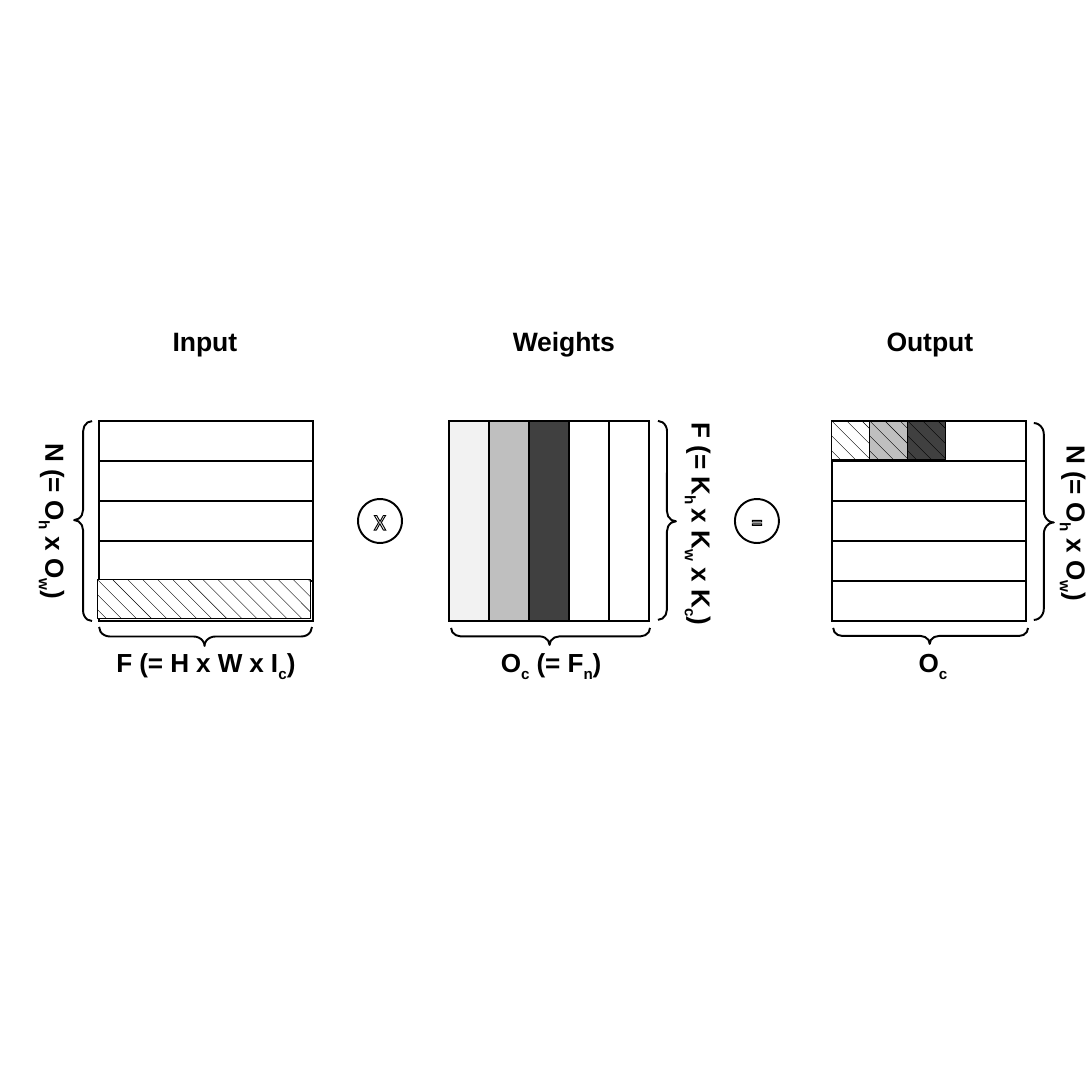
from lxml import etree
from pptx import Presentation, util as u
from pptx.dml.color import RGBColor
from pptx.enum import dml, shapes, text
from pptx.oxml.ns import qn

BLACK = RGBColor(0, 0, 0)
WHITE = RGBColor(0xFF, 0xFF, 0xFF)
PALE = RGBColor(0xF2, 0xF2, 0xF2)
GREY = RGBColor(0xBF, 0xBF, 0xBF)
DARK = RGBColor(0x40, 0x40, 0x40)
EMU_PER_PIXEL = 914400 / 273
TOP, SIDE, CELL = 421, 200, 40  # shared by all three matrices
RIGHT, DOWN, LEFT = 0, 90, 180  # where a brace points


def px(*values):
    return [u.Emu(round(value * EMU_PER_PIXEL)) for value in values]


def add_line(parent, tag, points, position):
    """Insert a solid black line element, as used by cell borders and outlined text."""
    line = etree.Element(qn(tag), w=str(u.Pt(points)))
    fill = etree.SubElement(line, qn("a:solidFill"))
    etree.SubElement(fill, qn("a:srgbClr"), val=str(BLACK))
    parent.insert(position, line)


class Diagram:
    font_name = "Arial"
    label_size = 6.9
    heading_size = 7
    line_width = 0.5

    def __init__(self, slide):
        self.slide = slide

    def style(self, paragraph, size, name=font_name, color=BLACK, bold=False):
        paragraph.alignment = text.PP_ALIGN.CENTER
        font = paragraph.font
        font.name, font.size, font.bold = name, u.Pt(size), bold
        font.color.rgb = color

    def clear_margins(self, frame):
        frame.margin_left = frame.margin_right = 0
        frame.margin_top = frame.margin_bottom = 0

    def matrix(self, left, width, rows=1, columns=1, fills=()):
        table = self.slide.shapes.add_table(
            rows, columns, *px(left, TOP, width, SIDE)).table
        table.first_row = table.horz_banding = False
        for row in table.rows:
            row.height = px(SIDE / rows)[0]
        for column in table.columns:
            column.width = px(width / columns)[0]
        for index, cell in enumerate(table.iter_cells()):
            self.clear_margins(cell)
            self.style(cell.text_frame.paragraphs[0], 6)
            if index < len(fills):
                cell.fill.solid()
                cell.fill.fore_color.rgb = fills[index]
            else:
                cell.fill.background()
            properties = cell._tc.get_or_add_tcPr()
            for position, tag in enumerate(("a:lnL", "a:lnR", "a:lnT", "a:lnB")):
                add_line(properties, tag, self.line_width, position)

    def shape(self, kind, left, top, width, height, line_width=line_width):
        shape = self.slide.shapes.add_shape(kind, *px(left, top, width, height))
        shape.shadow.inherit = False
        shape.fill.background()
        shape.line.color.rgb = BLACK
        shape.line.width = u.Pt(line_width)
        return shape

    def hatched(self, left, top, width, height, background):
        shape = self.shape(shapes.MSO_SHAPE.RECTANGLE, left, top, width, height, 0.25)
        shape.fill.patterned()
        shape.fill.pattern = dml.MSO_PATTERN.WIDE_DOWNWARD_DIAGONAL
        shape.fill.fore_color.rgb = BLACK
        shape.fill.back_color.rgb = background

    def operator(self, symbol, left):
        shape = self.shape(shapes.MSO_SHAPE.OVAL, left, 499, 44, 44)
        frame = shape.text_frame
        self.clear_margins(frame)
        frame.word_wrap = False
        frame.vertical_anchor = text.MSO_ANCHOR.MIDDLE
        paragraph = frame.paragraphs[0]
        self.style(paragraph, 6, "Calibri", WHITE)
        run = paragraph.add_run()
        run.text = symbol
        add_line(run._r.get_or_add_rPr(), "a:ln", 0.75, 0)

    def brace(self, left, top, width, height, direction):
        """Place a brace by its visible box, whichever way it points."""
        if direction == DOWN:
            left, top = left + (width - height) / 2, top + (height - width) / 2
            width, height = height, width
        shape = self.shape(shapes.MSO_SHAPE.RIGHT_BRACE, left, top, width, height)
        shape.adjustments[0], shape.adjustments[1] = 0.571, 0.505
        shape.rotation = direction

    def label(self, wording, center_x, center_y, width=224, size=label_size, rotation=0):
        """Add bold text; parts between underscores are subscripts."""
        height = 33
        box = self.slide.shapes.add_textbox(
            *px(center_x - width / 2, center_y - height / 2, width, height))
        box.rotation = rotation
        frame = box.text_frame
        self.clear_margins(frame)
        frame.word_wrap = True
        frame.auto_size = text.MSO_AUTO_SIZE.SHAPE_TO_FIT_TEXT
        paragraph = frame.paragraphs[0]
        self.style(paragraph, size, bold=True)
        for index, part in enumerate(wording.split("_")):
            if part:
                run = paragraph.add_run()
                run.text = part
                if index % 2:
                    run._r.get_or_add_rPr().set("baseline", "-25000")

    def heading(self, wording, center_x):
        self.label(wording, center_x, 341, size=self.heading_size)


presentation = Presentation()
presentation.slide_width = presentation.slide_height = u.Inches(4)
diagram = Diagram(presentation.slides.add_slide(presentation.slide_layouts[6]))

# Matrices
diagram.matrix(99, 214, rows=5)
diagram.matrix(449, SIDE, columns=5, fills=(PALE, GREY, DARK))
diagram.matrix(832, 194, rows=5)

# Highlighted input row and output cells
diagram.hatched(98, 580, 213, 39, WHITE)
for index, background in enumerate((WHITE, GREY, DARK)):
    diagram.hatched(832 + 38 * index, TOP, 38, 39, background)

# Operators
diagram.operator("X", 358)
diagram.operator("=", 735)

# Braces
for brace in ((74, 421, 18, 200, LEFT), (99, 627, 213, 19, DOWN),
              (451, 628, 199, 17, DOWN), (658, 421, 18, 199, RIGHT),
              (833, 628, 195, 16, DOWN), (1034, 423, 20, 197, RIGHT)):
    diagram.brace(*brace)

# Dimensions below and beside the matrices
diagram.label("F (= H x W x I_c_)", 206, 663)
diagram.label("O_c_ (= F_n_)", 551, 663, width=197)
diagram.label("O_c _", 935, 663, width=197)
diagram.label("N (= O_h_ x O_w_)", 55, 521, rotation=90)
diagram.label("F (= K_h _x K_w_ x K_c_)", 701, 524, rotation=90)
diagram.label("N (= O_h_ x O_w_)", 1076, 523, rotation=90)

# Headings
diagram.heading("Input", 205)
diagram.heading("Weights", 564)
diagram.heading("Output", 930)

presentation.save("out.pptx")
